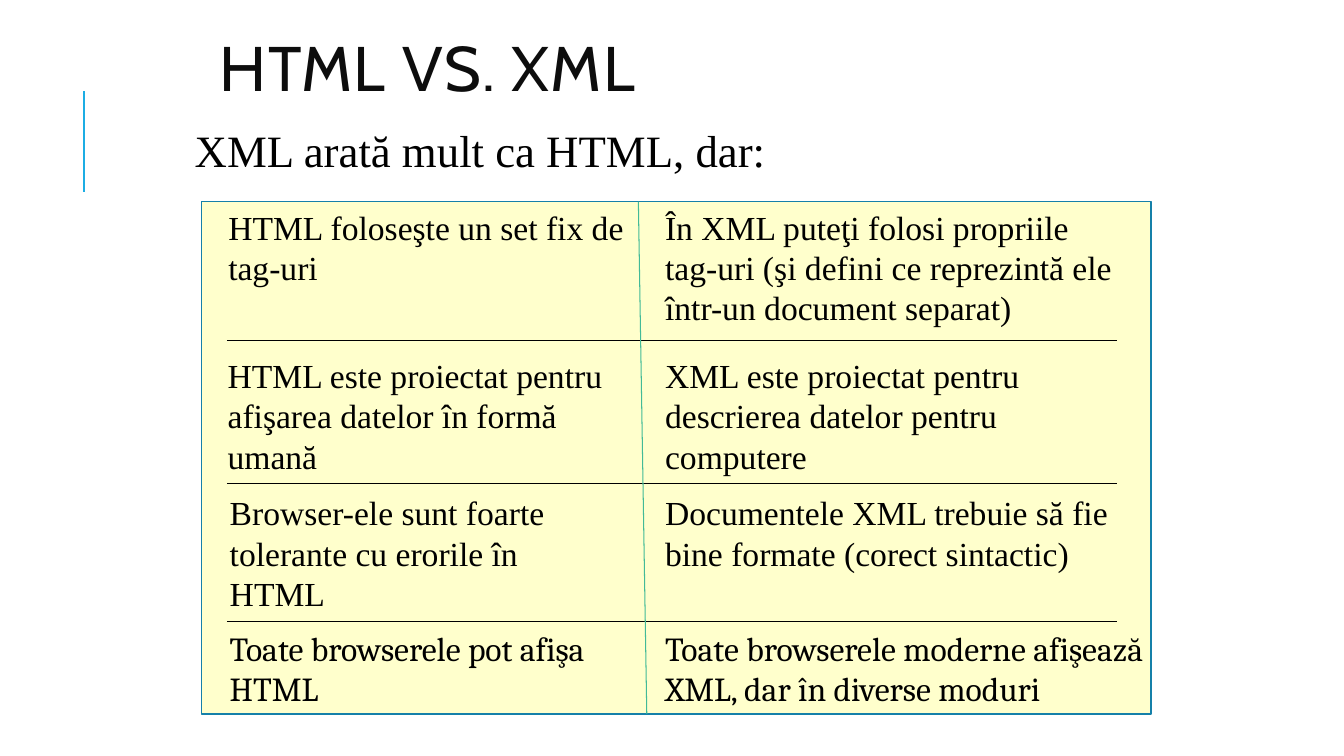
"""Build a slide that compares HTML with XML."""
from pptx import Presentation
from pptx.dml.color import RGBColor
from pptx.enum.shapes import MSO_CONNECTOR as Link, MSO_SHAPE as Kind
from pptx.enum.text import MSO_ANCHOR as Anchor
from pptx.util import Pt
from lxml.etree import SubElement
from pptx.oxml.ns import qn


def color(code):
    return RGBColor.from_string(code)


class Page:
    serif = "Times New Roman"
    ink = "000000"

    def __init__(self, slide):
        self.slide = slide

    def panel(self, left, top, width, height, fill, edge):
        shape = self.slide.shapes.add_shape(
            Kind.RECTANGLE, Pt(left), Pt(top), Pt(width), Pt(height))
        shape.shadow.inherit = False
        shape.fill.solid()
        shape.fill.fore_color.rgb = color(fill)
        shape.line.color.rgb = color(edge)
        shape.line.width = Pt(1.25)

    def text(self, words, left, top, width, height, size=24, face=serif, ink=ink):
        box = self.slide.shapes.add_textbox(Pt(left), Pt(top), Pt(width), Pt(height))
        frame = box.text_frame
        frame.word_wrap = True
        frame.text = words
        font = frame.paragraphs[0].runs[0].font
        font.size = Pt(size)
        font.name = face
        font.color.rgb = color(ink)
        return frame

    def title(self, words, left, top, width, height):
        frame = self.text(words, left, top, width, height, 45, "Cabin", "0D0D0D")
        frame.vertical_anchor = Anchor.MIDDLE
        para = frame.paragraphs[0]
        para.line_spacing = 0.8
        para.runs[0].font._element.set("spc", "100")

    def line(self, x1, y1, x2, y2, ink=ink, width=0.75):
        link = self.slide.shapes.add_connector(
            Link.STRAIGHT, Pt(x1), Pt(y1), Pt(x2), Pt(y2))
        link.line.color.rgb = color(ink)
        link.line.width = Pt(width)
        SubElement(link._element.spPr, qn("a:effectLst"))


def main():
    deck = Presentation()
    deck.slide_width, deck.slide_height = Pt(960), Pt(540)
    page = Page(deck.slides.add_slide(deck.slide_layouts[6]))

    page.line(60, 137, 60, 65, "1CADE4", 1.5)
    page.panel(144, 144, 678, 366, "FFFFCC", "1580A9")
    page.title("HTML VS. XML", 150, 36, 648, 33)
    page.text("XML arată mult ca HTML, dar:", 132, 84, 478, 45, 32)

    rows = [
        (144, 156, 302, 343, Page.serif, "HTML foloseşte un set fix de tag-uri",
         "În XML puteţi folosi propriile tag-uri "
         "(şi defini ce reprezintă ele într-un document separat)"),
        (250, 155.5, 306, 330, Page.serif,
         "HTML este proiectat pentru afişarea datelor în formă umană",
         "XML este proiectat pentru descrierea datelor pentru computere"),
        (348, 157, 287, 343, Page.serif,
         "Browser-ele sunt foarte tolerante cu erorile în HTML",
         "Documentele XML trebuie să fie bine formate (corect sintactic)"),
        (445, 157, 275, 356, "Cambria", "Toate browserele pot afişa HTML",
         "Toate browserele moderne afişează XML, dar în diverse moduri"),
    ]
    for top, left, wide, span, face, html, xml in rows:
        page.text(html, left, top, wide, 65, face=face)
        page.text(xml, 468, top, span, 65, face=face)

    for y in (243.5, 345.5, 444):
        page.line(162, y, 798, y)
    page.line(456, 144, 462, 510, "42BA97")

    deck.save("out.pptx")


if __name__ == "__main__":
    main()
